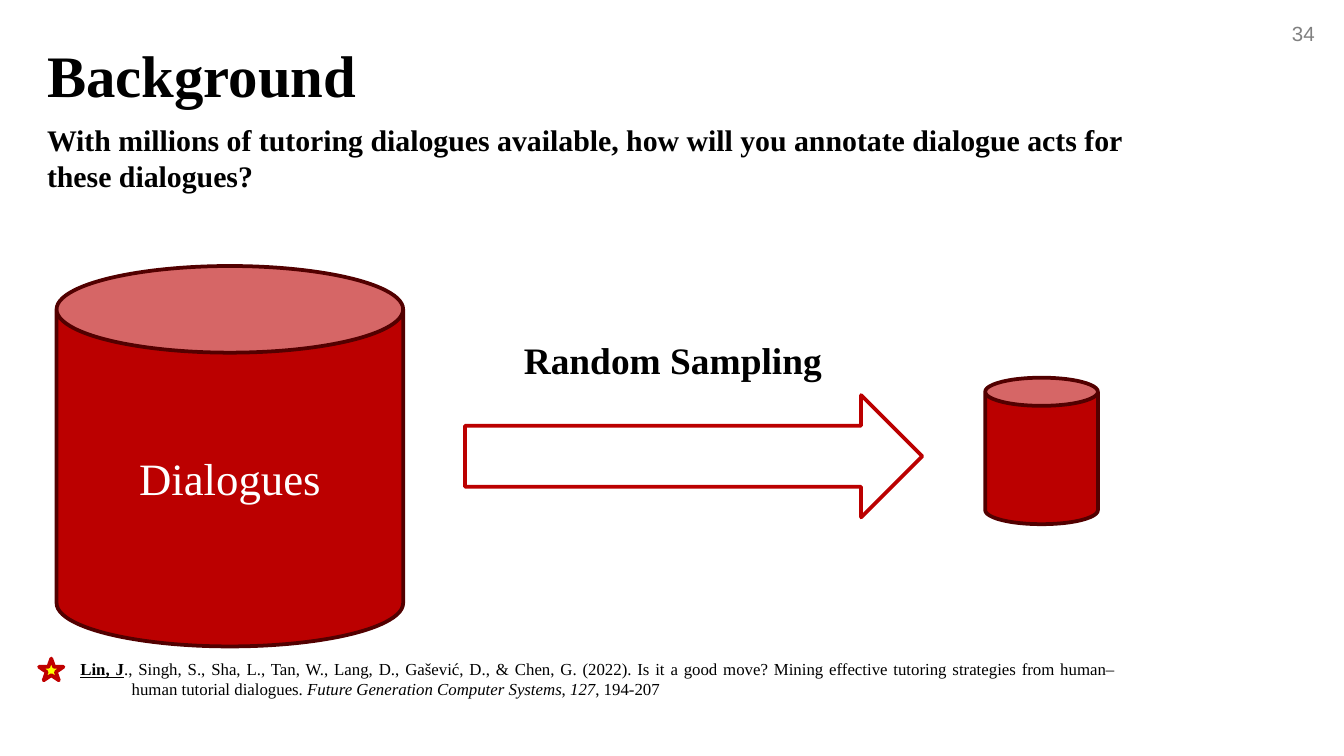
from pptx import Presentation
from pptx.dml.color import RGBColor
from pptx.enum.shapes import MSO_SHAPE
from pptx.enum.text import MSO_ANCHOR, PP_ALIGN
from pptx.util import Cm, Pt

CAN, ARROW, STAR = MSO_SHAPE.CAN, MSO_SHAPE.RIGHT_ARROW, MSO_SHAPE.STAR_5_POINT
LEFT, CENTER, RIGHT, JUSTIFY = PP_ALIGN.LEFT, PP_ALIGN.CENTER, PP_ALIGN.RIGHT, PP_ALIGN.JUSTIFY
TOP, MIDDLE, BOTTOM = MSO_ANCHOR.TOP, MSO_ANCHOR.MIDDLE, MSO_ANCHOR.BOTTOM

THEME = {
    "serif": "Times New Roman", "sans": "Arial",
    "black": "000000", "white": "FFFFFF", "gray": "808080",
    "red": "BB0000", "dark": "520000", "yellow": "FFFF00", "star": "C00000",
    "title": 31.5, "label": 24, "step": 20, "question": 16, "number": 11, "reference": 9,
    "line": 2,
}

BOLD, ITALIC = {"bold": True}, {"italic": True}
TITLE = [("Background", BOLD)]
TITLE_BOX = (0.64, 0.69, 19.86, 1.52)

REFERENCE = [
    ("Lin, J", {"bold": True, "underline": True}),
    ("., Singh, S., Sha, L., Tan, W., Lang, D., Gašević, D., & Chen, G. (2022). "
     "Is it a good move? Mining effective tutoring strategies from human–human "
     "tutorial dialogues. ", {}),
    ("Future Generation Computer Systems", ITALIC),
    (", ", {}),
    ("127", ITALIC),
    (", 194-207", {}),
]

SHAPES = [
    (CAN, (1.07, 5.03, 6.55, 7.19), "red", "dark", "Dialogues"),
    (ARROW, (8.79, 7.47, 8.64, 2.31), "white", "red", ""),
    (CAN, (18.62, 7.14, 2.13, 2.77), "red", "dark", ""),
    (STAR, (0.74, 12.45, 0.46, 0.41), "yellow", "star", ""),
]

TEXTS = [
    ((23.7, 0.28, 1.4, 0.74), [("34", {})], "number",
     {"font": "sans", "color": "gray", "align": RIGHT}),
    ((9.65, 6.25, 6.2, 1.12), [("Random Sampling", BOLD)], "step", {"wrap": False}),
    ((0.64, 2.18, 20.96, 3), [
        ("With millions of tutoring dialogues available, how will you annotate "
         "dialogue acts for these dialogues?", BOLD)], "question", {}),
    ((1.27, 12.32, 20.04, 1.02), REFERENCE, "reference",
     {"align": JUSTIFY, "hanging": 0.97}),
]


def rgb(name):
    return RGBColor.from_string(THEME[name])


def write(sp, runs, size, font="serif", color="black", align=LEFT, anchor=TOP,
          wrap=True, hanging=0, spacing=1.0):
    tf = sp.text_frame
    tf.word_wrap = wrap
    tf.vertical_anchor = anchor
    p = tf.paragraphs[0]
    p.alignment = align
    p.line_spacing = spacing
    p.space_before = Pt(0)
    if hanging:
        pPr = p._p.get_or_add_pPr()
        pPr.set("marL", str(Cm(hanging)))
        pPr.set("indent", str(-Cm(hanging)))
    for text, style in runs:
        r = p.add_run()
        r.text = text
        base = {"name": THEME[font], "size": Pt(THEME[size]), "bold": False}
        for key, value in {**base, **style}.items():
            setattr(r.font, key, value)
        r.font.color.rgb = rgb(color)


def add_shape(s, kind, box, fill, line, label):
    sp = s.shapes.add_shape(kind, *map(Cm, box))
    sp.shadow.inherit = False
    sp.fill.solid()
    sp.fill.fore_color.rgb = rgb(fill)
    sp.line.color.rgb = rgb(line)
    sp.line.width = Pt(THEME["line"])
    if label:
        write(sp, [(label, {})], "label", color="white", align=CENTER, anchor=MIDDLE)


def main():
    prs = Presentation()
    prs.slide_width, prs.slide_height = Cm(25.4), Cm(14.29)
    s = prs.slides.add_slide(prs.slide_layouts[5])

    title = s.shapes.title
    for key, value in zip(("left", "top", "width", "height"), TITLE_BOX):
        setattr(title, key, Cm(value))
    write(title, TITLE, "title", anchor=BOTTOM, spacing=0.9)

    for shape in SHAPES:
        add_shape(s, *shape)
    for box, runs, size, options in TEXTS:
        write(s.shapes.add_textbox(*map(Cm, box)), runs, size, **options)

    prs.save("out.pptx")


if __name__ == "__main__":
    main()
